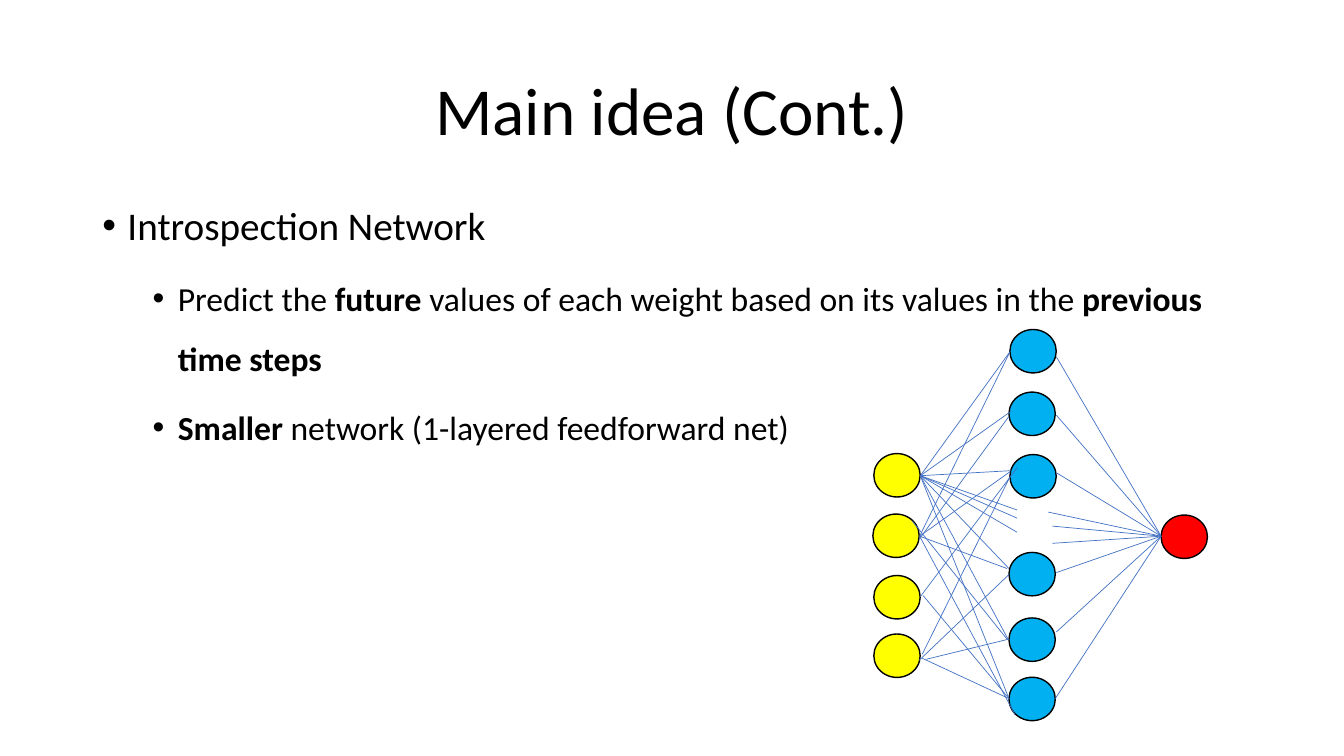
from lxml.etree import SubElement
from pptx import Presentation
from pptx.dml.color import RGBColor
from pptx.enum.shapes import MSO_CONNECTOR, MSO_SHAPE
from pptx.enum.text import MSO_ANCHOR, PP_ALIGN
from pptx.oxml.ns import qn
from pptx.util import Pt

COLORS = {"text": "000000", "outline": "000000", "input": "FFFF00",
          "hidden": "00B0F0", "output": "FF0000", "link": "4472C4"}
FONT = "Calibri"
NODE_WIDTH, NODE_HEIGHT = 33.1, 31

NODES = {
    "input": [(624.2, 324), (623.5, 367.2), (624.2, 411.1), (624.2, 452.9)],
    "hidden": [(721.4, 235.4), (720.7, 280.1), (721.4, 324.7),
               (720.7, 394.6), (720.7, 441.4), (720.7, 483.8)],
    "output": [(829.4, 367.9)],
}
FAN_OUT = [
    ((657.4, 339.8), [(721.4, 251.3), (722.2, 293.8), (722.2, 336.2),
                      (726.5, 364.3), (726.5, 370.1), (726.5, 380.2),
                      (720.7, 406.1), (720, 456.5), (720.7, 499)]),
    ((656.9, 383), [(721.4, 251.3), (721.4, 337), (719.3, 406.1), (725, 510.5)]),
    ((656.6, 385.2), [(720.7, 297.4)]),
    ((651.6, 372.2), [(719.3, 456.5)]),
    ((658.8, 470.2), [(720.7, 499)]),
    ((661.7, 470.9), [(720.7, 456.5)]),
    ((656.6, 471.6), [(720.7, 410.4)]),
    ((658.8, 467.3), [(721.4, 340.6)]),
    ((659.5, 425.5), [(720.7, 499)]),
    ((657.4, 426.2), [(726.5, 334.1)]),
]
OUTPUT_ENTRY = (829.4, 383)
FAN_IN = [(754.6, 254.9), (754.6, 296.6), (754.6, 337.7), (754.6, 409),
          (754.6, 451.4), (753.8, 499), (748.8, 365.8), (751.7, 375.8),
          (751.7, 388.1)]

BULLETS = [
    (0, 28, 0.9, 10, 0, [("Introspection Network", False)]),
    (1, 24, 1.5, 6, 6, [
        ("Predict the ", False), ("future ", True),
        ("values of each weight based on its values in the ", False),
        ("previous time steps", True)]),
    (1, 24, 1.5, 0, 6, [
        ("Smaller ", True), ("network (1-layered feedforward net)", False)]),
]


def color(name):
    return RGBColor.from_string(COLORS[name])


def style_paragraph(paragraph, size, line_spacing):
    paragraph.line_spacing = line_spacing
    paragraph.font.name = FONT
    paragraph.font.size = Pt(size)
    paragraph.font.color.rgb = color("text")


def add_text_frame(slide, left, top, width, height):
    box = slide.shapes.add_textbox(Pt(left), Pt(top), Pt(width), Pt(height))
    box.text_frame.word_wrap = True
    return box.text_frame


def add_title(slide, text):
    frame = add_text_frame(slide, 66, 28.8, 828, 104.4)
    frame.vertical_anchor = MSO_ANCHOR.MIDDLE
    paragraph = frame.paragraphs[0]
    paragraph.text = text
    paragraph.alignment = PP_ALIGN.CENTER
    style_paragraph(paragraph, 48, 0.9)


def set_bullet(paragraph, level):
    paragraph.level = level
    properties = paragraph._p.get_or_add_pPr()
    properties.set("marL", str(Pt(18 + 36 * level)))
    properties.set("indent", str(-Pt(18)))
    SubElement(properties, qn("a:buFont")).set("typeface", "Arial")
    SubElement(properties, qn("a:buChar")).set("char", "•")


def add_bullets(slide):
    frame = add_text_frame(slide, 66, 144, 828, 342.7)
    for index, (level, size, spacing, before, after, runs) in enumerate(BULLETS):
        paragraph = frame.add_paragraph() if index else frame.paragraphs[0]
        paragraph.space_before = Pt(before)
        paragraph.space_after = Pt(after)
        set_bullet(paragraph, level)
        style_paragraph(paragraph, size, spacing)
        for text, bold in runs:
            run = paragraph.add_run()
            run.text = text
            run.font.bold = bold


def add_node(slide, layer, left, top):
    node = slide.shapes.add_shape(MSO_SHAPE.OVAL, Pt(left), Pt(top),
                                  Pt(NODE_WIDTH), Pt(NODE_HEIGHT))
    node.shadow.inherit = False
    node.fill.solid()
    node.fill.fore_color.rgb = color(layer)
    node.line.color.rgb = color("outline")
    node.line.width = Pt(1)


def add_link(slide, start, end):
    link = slide.shapes.add_connector(
        MSO_CONNECTOR.STRAIGHT, *(Pt(value) for value in start + end))
    link.line.color.rgb = color("link")
    link.line.width = Pt(0.5)
    SubElement(link._element.spPr, qn("a:effectLst"))


def add_network(slide):
    for layer, positions in NODES.items():
        for left, top in positions:
            add_node(slide, layer, left, top)
    for start, ends in FAN_OUT:
        for end in ends:
            add_link(slide, start, end)
    for start in FAN_IN:
        add_link(slide, start, OUTPUT_ENTRY)


def main():
    presentation = Presentation()
    presentation.slide_width = Pt(960)
    presentation.slide_height = Pt(540)
    slide = presentation.slides.add_slide(presentation.slide_layouts[6])
    add_title(slide, "Main idea (Cont.)")
    add_bullets(slide)
    add_network(slide)
    presentation.save("out.pptx")


if __name__ == "__main__":
    main()
